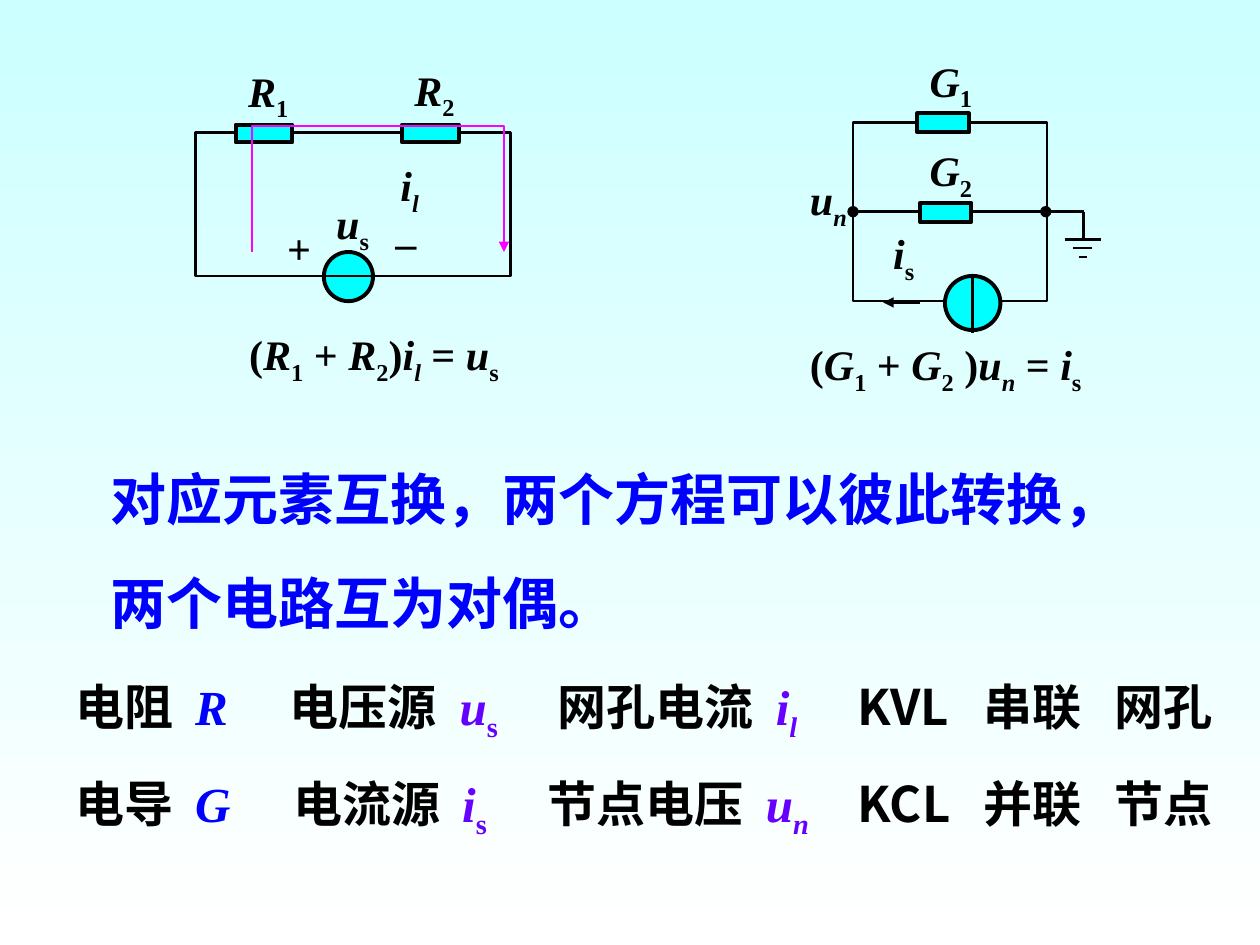
from lxml import etree
from pptx import Presentation, util as u
from pptx.dml.color import RGBColor
from pptx.enum import shapes as sh, text as tx
from pptx.oxml import ns

rgb = RGBColor.from_string
SERIF, SANS = "Times New Roman", "Noto Sans CJK SC"
BLACK, BLUE, VIOLET, CYAN, PINK = "000000", "0000FF", "6600FF", "00FFFF", "FF00FF"

deck = Presentation()
deck.slide_width, deck.slide_height = u.Inches(10), u.Inches(7.5)
slide = deck.slides.add_slide(deck.slide_layouts[6])
back = slide.background.fill
back.gradient()
back.gradient_angle = 270
for stop, hue in zip(back.gradient_stops, ("CCFFFF", "FFFFFF")):
    stop.color.rgb = rgb(hue)


def write(para, runs, size):
    for words, style, hue in runs:
        run = para.add_run()
        run.text = words
        font = run.font
        font.size, font.bold, font.italic = u.Pt(size), True, "i" in style
        font.name = SANS if "k" in style else SERIF
        font.color.rgb = rgb(hue)
        props = run._r.get_or_add_rPr()
        etree.SubElement(props, ns.qn("a:ea")).set("typeface", SANS)
        if "s" in style:
            props.set("baseline", "-25000")


def add_box(x, y, w, h, wrap=True):
    frame = slide.shapes.add_textbox(*map(u.Inches, (x, y, w, h))).text_frame
    frame.word_wrap = wrap
    frame.vertical_anchor = tx.MSO_ANCHOR.TOP
    return frame


RECT, OVAL = sh.MSO_SHAPE.RECTANGLE, sh.MSO_SHAPE.OVAL
parts = [
    (RECT, 1.55, 1.05, 2.5, 1.14, None, 1.5),
    (RECT, 6.77, 0.97, 1.54, 0.71, None, 1.5),
    (RECT, 6.77, 1.68, 1.54, 0.71, None, 1.5),
    (RECT, 1.87, 0.99, 0.45, 0.14, CYAN, 2.25),
    (RECT, 3.19, 0.99, 0.45, 0.14, CYAN, 2.25),
    (RECT, 7.28, 0.9, 0.41, 0.15, CYAN, 2.25),
    (RECT, 7.3, 1.61, 0.41, 0.15, CYAN, 2.25),
    (OVAL, 2.57, 2, 0.39, 0.39, CYAN, 2.25),
    (OVAL, 7.5, 2.19, 0.44, 0.43, CYAN, 2.25),
    (OVAL, 6.73, 1.64, 0.08, 0.08, BLACK, 0.75),
    (OVAL, 8.26, 1.64, 0.08, 0.08, BLACK, 0.75),
]
for kind, x, y, w, h, hue, wide in parts:
    part = slide.shapes.add_shape(kind, *map(u.Inches, (x, y, w, h)))
    part.shadow.inherit = False
    part.line.color.rgb, part.line.width = rgb(BLACK), u.Pt(wide)
    if hue:
        part.fill.solid()
        part.fill.fore_color.rgb = rgb(hue)
    else:
        part.fill.background()

wires = [
    (2.57, 2.19, 2.96, 2.19, 0.75),
    (7.72, 2.18, 7.72, 2.64, 1.5),
    (8.3, 1.68, 8.6, 1.68, 1.5),
    (8.6, 1.68, 8.6, 1.9, 1.5),
    (8.45, 1.9, 8.74, 1.9, 1.5),
    (8.52, 1.97, 8.67, 1.97, 1.5),
    (8.56, 2.04, 8.63, 2.04, 1.5),
    (7.3, 2.4, 7.01, 2.4, 1.5),
]
for *ends, wide in wires:
    wire = slide.shapes.add_connector(sh.MSO_CONNECTOR.STRAIGHT, *map(u.Inches, ends))
    wire.line.color.rgb, wire.line.width = rgb(BLACK), u.Pt(wide)
    etree.SubElement(wire._element.spPr, ns.qn("a:effectLst"))

knots = [
    (1.97, 1.87), (1.98, 1.82), (1.98, 1.65), (2.03, 1.55),
    (2.08, 1.46), (2.14, 1.35), (2.28, 1.29),
    (2.41, 1.23), (2.65, 1.17), (2.83, 1.18),
    (3.01, 1.18), (3.23, 1.24), (3.36, 1.32),
    (3.49, 1.39), (3.57, 1.55), (3.62, 1.61),
]
steps = 8
curve = []
for k in range(0, len(knots) - 1, 3):
    for n in range(1, steps + 1):
        t = n / steps
        mix = ((1 - t) ** 3, 3 * t * (1 - t) ** 2, 3 * t * t * (1 - t), t ** 3)
        curve.append([sum(m * p[a] for m, p in zip(mix, knots[k:k + 4])) for a in (0, 1)])
pen = slide.shapes.build_freeform(*knots[0], scale=u.Inches(1))
pen.add_line_segments(curve, close=False)
loop = pen.convert_to_shape()
loop.shadow.inherit = False
loop.fill.background()
loop.line.color.rgb, loop.line.width = rgb(PINK), u.Pt(0.75)

for item in (wire, loop):
    etree.SubElement(item.line._get_or_add_ln(), ns.qn("a:tailEnd")).set("type", "triangle")

labels = [
    (1.87, 0.47, 0.55, "R", "1", "s"),
    (3.19, 0.46, 0.55, "R", "2", "s"),
    (2.57, 1.52, 0.55, "u", "s", "s"),
    (3.08, 1.22, 0.55, "i", "l", "is"),
    (7.28, 0.39, 0.77, "G", "1", "s"),
    (7.28, 1.1, 0.77, "G", "2", "s"),
    (6.33, 1.33, 0.59, "u", "n", "is"),
    (6.99, 1.76, 0.59, "i", "s", "s"),
]
for x, y, w, name, sub, style in labels:
    write(add_box(x, y, w, 0.56).paragraphs[0],
          [(name, "i", BLACK), (sub, style, BLACK)], 24)
for x, y, sign in ((2.18, 1.72, "+"), (3.04, 1.67, "–")):
    write(add_box(x, y, 0.39, 0.5).paragraphs[0], [(sign, "", BLACK)], 24)

sums = [
    (1.88, 2.56, 2.67, "R", ")", "i", "l", "u"),
    (6.33, 2.64, 2.75, "G", " )", "u", "n", "i"),
]
for x, y, w, name, shut, var, sub, src in sums:
    runs = [("(", ""), (name, "i"), ("1", "s"), (" + ", ""), (name, "i"), ("2", "s"),
            (shut, ""), (var, "i"), (sub, "is"), (" = ", ""), (src, "i"), ("s", "s")]
    write(add_box(x, y, w, 0.56).paragraphs[0], [(*r, BLACK) for r in runs], 24)

claim = add_box(0.78, 3.58, 8.21, 1.45, wrap=False)
for n, words in enumerate(("对应元素互换，两个方程可以彼此转换，", "两个电路互为对偶。")):
    para = claim.add_paragraph() if n else claim.paragraphs[0]
    para.line_spacing, para.space_before = u.Pt(42.5), u.Pt(17 * n)
    write(para, [(words, "", BLUE)], 32)

pairs = add_box(0.5, 5.31, 9.3, 1.41)
rows = [
    ((0.95, 1.7, 3.05, 3.83, 5.56, 6.21, 7.21, 8.25),
     "电阻", "R", "电压源", "u", "s", "网孔电流", "i", "l", "KVL\t串联\t网孔"),
    ((0.95, 1.73, 3.07, 3.75, 5.48, 6.21, 7.21, 8.25),
     "电导", "G", "电流源", "i", "s", "节点电压", "u", "n", "KCL\t并联\t节点"),
]
for n, (stops, part, sign, src, var, sub, flow, sym, low, rest) in enumerate(rows):
    para = pairs.add_paragraph() if n else pairs.paragraphs[0]
    para.line_spacing, para.space_before = u.Pt(39), u.Pt(16.5 * n)
    tabs = etree.SubElement(para._p.get_or_add_pPr(), ns.qn("a:tabLst"))
    for stop in stops:
        etree.SubElement(tabs, ns.qn("a:tab"), pos=str(u.Inches(stop)), algn="l")
    write(para, [
        (part + "\t", "", BLACK), (sign + "\t", "i", BLUE),
        (src + "\t", "", BLACK), (var, "i", VIOLET), (sub, "s", VIOLET),
        ("\t" + flow + "\t", "", BLACK), (sym, "i", VIOLET), (low, "is", VIOLET),
        ("\t" + rest, "k", BLACK)], 28)

deck.save("out.pptx")
